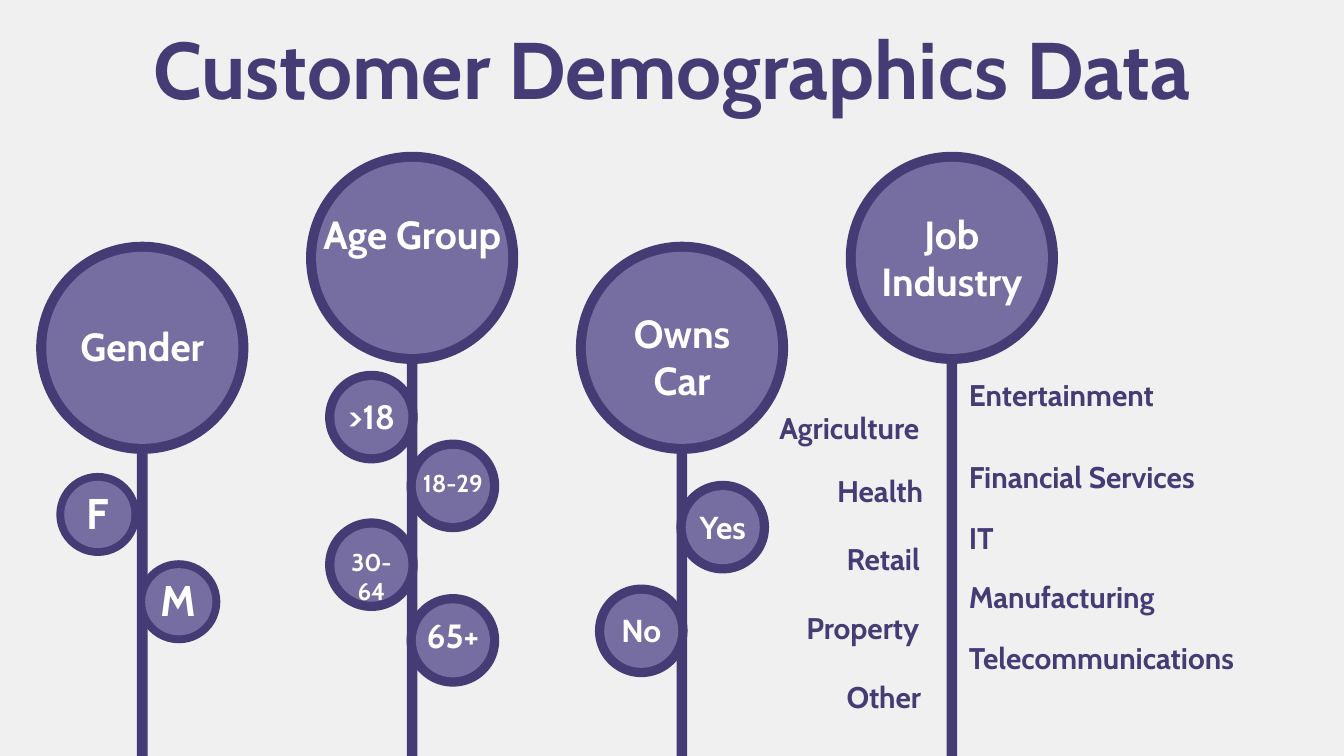
from dataclasses import dataclass

from pptx import Presentation
from pptx.dml.color import RGBColor
from pptx.enum.shapes import MSO_SHAPE
from pptx.enum.text import MSO_ANCHOR, PP_ALIGN
from pptx.util import Cm, Pt

OVAL, RECTANGLE = MSO_SHAPE.OVAL, MSO_SHAPE.RECTANGLE
LEFT, CENTER = PP_ALIGN.LEFT, PP_ALIGN.CENTER
TOP, MIDDLE = MSO_ANCHOR.TOP, MSO_ANCHOR.MIDDLE

SLIDE_WIDTH, SLIDE_HEIGHT = 25.4, 14.29
FIRST_STEM, STEM_GAP, STEM_WIDTH = 2.69, 5.1, 0.2
HEAD_SIZE, HEAD_CORE = 4.01, 3.63


@dataclass(frozen=True)
class Theme:
    font: str = "Cabin"
    background: RGBColor = RGBColor(0xF0, 0xF0, 0xF0)
    dark: RGBColor = RGBColor(0x45, 0x3C, 0x75)
    core: RGBColor = RGBColor(0x76, 0x6E, 0xA0)
    light: RGBColor = RGBColor(0xFF, 0xFF, 0xFF)
    title_size: int = 43
    head_size: int = 21
    label_size: int = 16


def write_text(frame, text, *, font, size, color, align=LEFT, anchor=TOP):
    """Fill a text frame, one paragraph per line of text."""
    frame.word_wrap = True
    frame.vertical_anchor = anchor
    frame.margin_left = frame.margin_right = Cm(0.25)
    frame.margin_top = frame.margin_bottom = Cm(0.25)
    frame.text = text
    for paragraph in frame.paragraphs:
        paragraph.alignment = align
        paragraph.font.name = font
        paragraph.font.size = Pt(size)
        paragraph.font.bold = True
        paragraph.font.color.rgb = color


class Diagram:
    def __init__(self, slide, theme):
        self.slide, self.theme = slide, theme
        slide.background.fill.solid()
        slide.background.fill.fore_color.rgb = theme.background

    def block(self, kind, left, top, width, height, color):
        shape = self.slide.shapes.add_shape(
            kind, Cm(left), Cm(top), Cm(width), Cm(height))
        shape.shadow.inherit = False
        shape.fill.solid()
        shape.fill.fore_color.rgb = color
        shape.line.fill.background()

    def text(self, text, left, top, width, height, **style):
        box = self.slide.shapes.add_textbox(
            Cm(left), Cm(top), Cm(width), Cm(height))
        write_text(box.text_frame, text, font=self.theme.font, **style)

    def stem(self, center, top):
        self.block(RECTANGLE, center - STEM_WIDTH / 2, top,
                   STEM_WIDTH, SLIDE_HEIGHT - top, self.theme.dark)

    def disc(self, text, center, top, size, core, text_shift, text_size):
        """A ringed circle with its caption."""
        left, ring = center - size / 2, (size - core) / 2
        self.block(OVAL, left, top, size, size, self.theme.dark)
        self.block(OVAL, left + ring, top + ring, core, core, self.theme.core)
        self.text(text, left, top + text_shift, size, size - text_shift,
                  size=text_size, color=self.theme.light, align=CENTER)

    def label(self, text, left, top, width):
        self.text(text, left, top, width, 0.97,
                  size=self.theme.label_size, color=self.theme.dark)


# Categories: heading, top, text shift, small disc size and core,
# then small discs: text, offset from stem, top, text shift, text size
CATEGORIES = [
    ("Gender", 4.57, 1.27, 1.57, 1.27, [
        ("F", -0.84, 8.94, 0, 23),
        ("M", 0.69, 10.59, 0, 23)]),
    ("Age Group", 2.87, 0.86, 1.75, 1.4, [
        (">18", -0.77, 7.01, 0.23, 18),
        ("18-29", 0.77, 8.31, 0.3, 13),
        ("30-64", -0.77, 9.8, 0.3, 13),
        ("65+", 0.77, 11.23, 0.15, 18)]),
    ("Owns\nCar", 4.57, 1.02, 1.75, 1.4, [
        ("Yes", 0.77, 9.09, 0.25, 17),
        ("No", -0.77, 11.05, 0.25, 17)]),
    ("Job Industry", 2.87, 0.86, 1.75, 1.4, []),
]

# Industries on each side of the last stem
LEFT_INDUSTRIES = [
    ("Agriculture", 14.48, 7.49), ("Health", 15.57, 8.69),
    ("Retail", 15.75, 9.98), ("Property", 14.99, 11.28),
    ("Other", 15.75, 12.57),
]
RIGHT_INDUSTRIES = [
    ("Entertainment", 6.88), ("Financial Services", 8.43), ("IT", 9.58),
    ("Manufacturing", 10.69), ("Telecommunications", 11.84),
]


def main():
    deck = Presentation()
    deck.slide_width, deck.slide_height = Cm(SLIDE_WIDTH), Cm(SLIDE_HEIGHT)
    theme = Theme()
    diagram = Diagram(deck.slides.add_slide(deck.slide_layouts[6]), theme)

    # Title
    diagram.text("Customer Demographics Data", 0.86, 0.15, 23.67, 2.26,
                 size=theme.title_size, color=theme.dark,
                 align=CENTER, anchor=MIDDLE)

    # Stems with their heads and small discs
    for index, (heading, top, shift, size, core, groups) in enumerate(CATEGORIES):
        center = FIRST_STEM + index * STEM_GAP
        diagram.stem(center, top + HEAD_SIZE - 0.2)
        diagram.disc(heading, center, top, HEAD_SIZE, HEAD_CORE,
                     shift, theme.head_size)
        for group, offset, group_top, group_shift, text_size in groups:
            diagram.disc(group, center + offset, group_top, size, core,
                         group_shift, text_size)

    # Industry labels
    for industry, left, top in LEFT_INDUSTRIES:
        diagram.label(industry, left, top, 3.63)
    for industry, top in RIGHT_INDUSTRIES:
        diagram.label(industry, 18.06, top, 6.8)

    deck.save("out.pptx")


if __name__ == "__main__":
    main()
